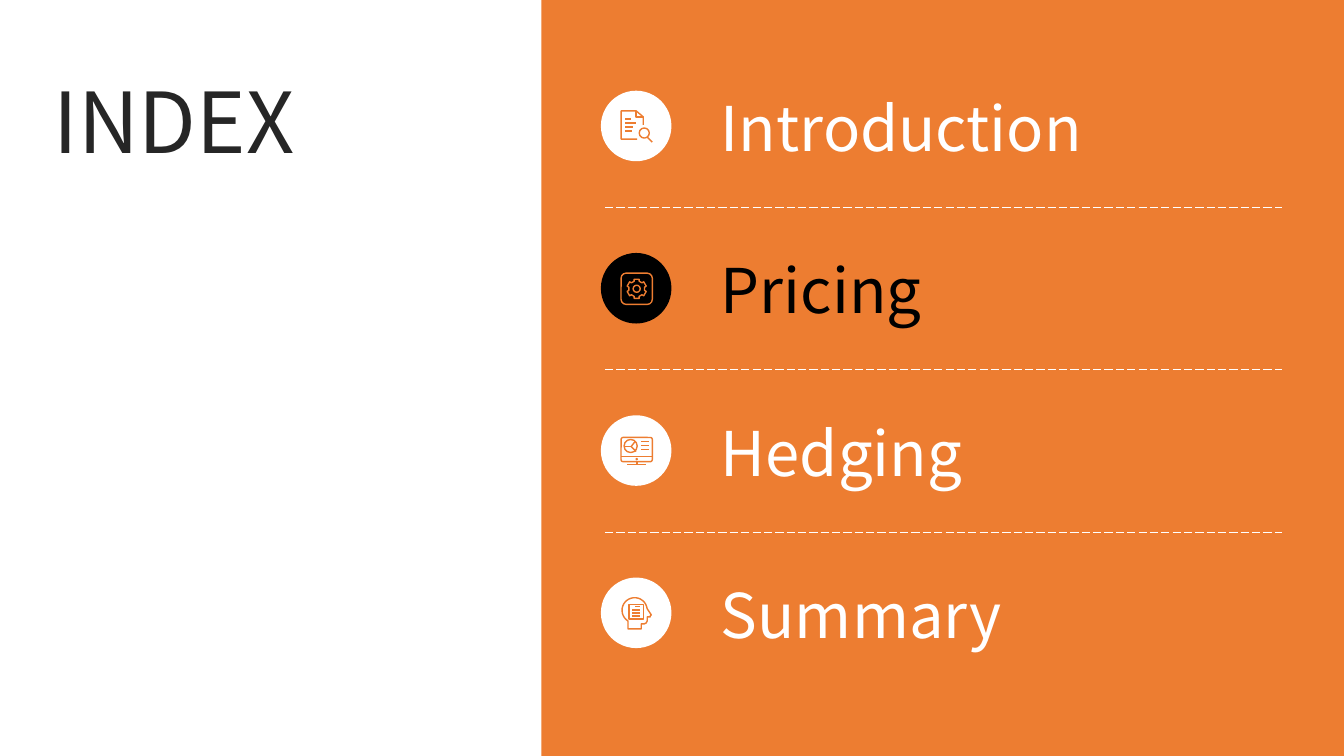
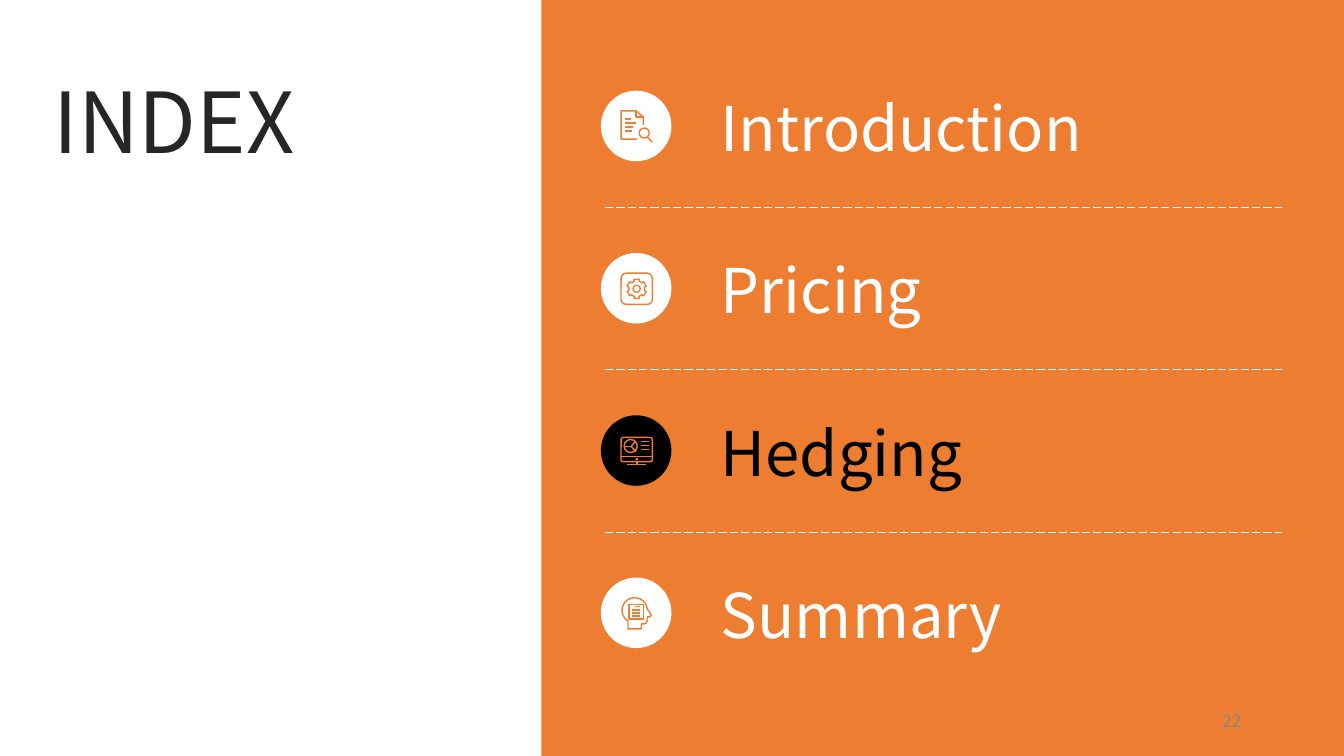
import math

import pptx
import pptx.dml.color
import pptx.enum.dml
import pptx.enum.shapes
import pptx.enum.text
import pptx.oxml
import pptx.util
from pptx.oxml.ns import qn

PX = 9144
SHAPE = pptx.enum.shapes.MSO_SHAPE
ALIGN = pptx.enum.text.PP_ALIGN
ANCHOR = pptx.enum.text.MSO_ANCHOR

ITEMS = ["Introduction", "Pricing", "Hedging", "Summary"]
ROW_TOP = 90
ROW_STEP = 161
CIRCLE_LEFT = 596
CIRCLE_SIZE = 70


def px(*values):
    return [pptx.util.Emu(round(v * PX)) for v in values]


def rgb(value):
    return pptx.dml.color.RGBColor.from_string(value)


class Deck:
    FONT = "Noto Sans CJK KR"
    ORANGE = "ED7D31"
    WHITE = "FFFFFF"
    BLACK = "000000"
    INK = "262626"
    GREY = "898989"

    def __init__(self):
        self.prs = pptx.Presentation()
        self.prs.slide_width, self.prs.slide_height = px(1333, 750)
        self.slide = None

    def add_slide(self):
        self.slide = self.prs.slides.add_slide(self.prs.slide_layouts[5])

    def style(self, tf, text, size, color, align=ALIGN.LEFT):
        tf.word_wrap = True
        p = tf.paragraphs[0]
        p.text = text
        p.alignment = align
        p.font.name = self.FONT
        p.font.size = pptx.util.Pt(size)
        p.font.color.rgb = rgb(color)
        return p

    def title(self, text):
        sp = self.slide.shapes.title
        sp.left, sp.top, sp.width, sp.height = px(43, 40, 459, 170)
        tf = sp.text_frame
        tf.vertical_anchor = ANCHOR.MIDDLE
        self.style(tf, text, 60, self.INK).line_spacing = 0.9

    def text(self, text, x, y, w, h, size, color, align=ALIGN.LEFT):
        tf = self.slide.shapes.add_textbox(*px(x, y, w, h)).text_frame
        tf.margin_left = tf.margin_right = tf.margin_top = tf.margin_bottom = 0
        tf.vertical_anchor = ANCHOR.MIDDLE
        self.style(tf, text, size, color, align)

    def filled(self, kind, x, y, w, h, color):
        sp = self.slide.shapes.add_shape(kind, *px(x, y, w, h))
        sp.shadow.inherit = False
        sp.fill.solid()
        sp.fill.fore_color.rgb = rgb(color)
        sp.line.fill.background()

    def line(self, shapes, x1, y1, x2, y2, color, width, dash=None):
        cxn = shapes.add_connector(pptx.enum.shapes.MSO_CONNECTOR.STRAIGHT, *px(x1, y1, x2, y2))
        cxn.line.color.rgb = rgb(color)
        cxn.line.width = pptx.util.Pt(width)
        if dash:
            cxn.line.dash_style = dash
        pptx.oxml.xmlchemy.OxmlElement
        cxn._element.spPr.append(pptx.oxml.parse_xml(
            '<a:effectLst xmlns:a="http://schemas.openxmlformats.org/drawingml/2006/main"/>'))

    def divider(self, y):
        self.line(self.slide.shapes, 600, y, 1272, y, self.WHITE, 0.75,
                  pptx.enum.dml.MSO_LINE.LONG_DASH)

    def icon(self, draw, x, y):
        draw(Icon(self, self.slide.shapes.add_group_shape().shapes, x, y))


class Icon:
    def __init__(self, deck, shapes, x, y):
        self.deck, self.shapes, self.x, self.y = deck, shapes, x, y

    def outline(self, sp):
        sp.shadow.inherit = False
        sp.fill.background()
        sp.line.color.rgb = rgb(self.deck.ORANGE)
        sp.line.width = pptx.util.Pt(1)

    def shape(self, kind, x, y, w, h, radius=None):
        sp = self.shapes.add_shape(kind, *px(self.x + x, self.y + y, w, h))
        if radius:
            sp.adjustments[0] = radius / min(w, h)
        self.outline(sp)

    def line(self, x1, y1, x2, y2):
        self.deck.line(self.shapes, self.x + x1, self.y + y1, self.x + x2, self.y + y2,
                       self.deck.ORANGE, 1)

    def free(self, points, close=False):
        pts = [px(self.x + x, self.y + y) for x, y in points]
        fb = self.shapes.build_freeform(*pts[0])
        fb.add_line_segments(pts[1:], close=close)
        self.outline(fb.convert_to_shape())


def document(icon):
    for i, right in enumerate([30, 35, 32, 31]):
        icon.line(24, 28 + 4 * i, right, 28 + 4 * i)
    icon.shape(SHAPE.OVAL, 38, 37, 10, 10)
    icon.line(46, 46, 51, 51)
    icon.free([(36, 48), (20, 48), (20, 20), (35, 20), (42, 26), (42, 34)])
    icon.free([(35, 20), (35, 26), (42, 26)])


def gear(icon):
    icon.shape(SHAPE.ROUNDED_RECTANGLE, 20, 20, 31, 31, 5)
    icon.shape(SHAPE.OVAL, 32, 32, 7, 7)
    points = []
    for k in range(6):
        c, s = math.cos(k * math.pi / 3), math.sin(k * math.pi / 3)
        for x, y in [(-2.5, -7.5), (-2.5, -9.5), (2.5, -9.5), (2.5, -7.5)]:
            points.append((35.5 + x * c - y * s, 35.5 + x * s + y * c))
    icon.free(points, close=True)


def monitor(icon):
    icon.shape(SHAPE.ROUNDED_RECTANGLE, 20, 22, 31, 24, 2)
    icon.line(26, 49, 45, 49)
    icon.line(36, 46, 36, 49)
    icon.shape(SHAPE.OVAL, 35, 43, 1, 1)
    icon.line(20, 41, 51, 41)
    icon.shape(SHAPE.OVAL, 23, 24, 13, 13)
    icon.free([(34, 26), (30, 31), (35, 36)])
    icon.line(30, 31, 23, 31)
    for y in (26, 30, 34):
        icon.line(40, y, 48, y)


def head(icon):
    skull = [(33.5 + 12.5 * math.cos(math.radians(a)), 32.5 + 12.5 * math.sin(math.radians(a)))
             for a in range(353, 121, -11)]
    face = [(27, 51), (40, 51), (40, 46), (43, 46), (45, 45), (46, 43), (46, 39),
            (49, 39), (49, 38), (50, 37), (48, 34)]
    icon.free(skull + face, close=True)
    for i, left in enumerate([34, 31, 31, 31]):
        icon.line(left, 29 + 3 * i, 39, 29 + 3 * i)
    icon.shape(SHAPE.RECTANGLE, 28, 27, 14, 14)


def index_slide(deck, current, number=None):
    deck.add_slide()
    deck.filled(SHAPE.RECTANGLE, 537, 0, 796, 750, deck.ORANGE)
    deck.title("INDEX")
    for i, (item, draw) in enumerate(zip(ITEMS, [document, gear, monitor, head])):
        y = ROW_TOP + ROW_STEP * i
        color = deck.BLACK if item == current else deck.WHITE
        deck.text(item, 715, y - 1, 570, 74, 44, color)
        deck.filled(SHAPE.OVAL, CIRCLE_LEFT, y, CIRCLE_SIZE, CIRCLE_SIZE, color)
        deck.icon(draw, CIRCLE_LEFT, y)
        if i < len(ITEMS) - 1:
            deck.divider(y + 116)
    if number:
        deck.text(number, 941, 695, 290, 40, 12, deck.GREY, ALIGN.RIGHT)


def main():
    deck = Deck()
    index_slide(deck, "Pricing")
    index_slide(deck, "Hedging", "22")
    deck.prs.save("out.pptx")


if __name__ == "__main__":
    main()
